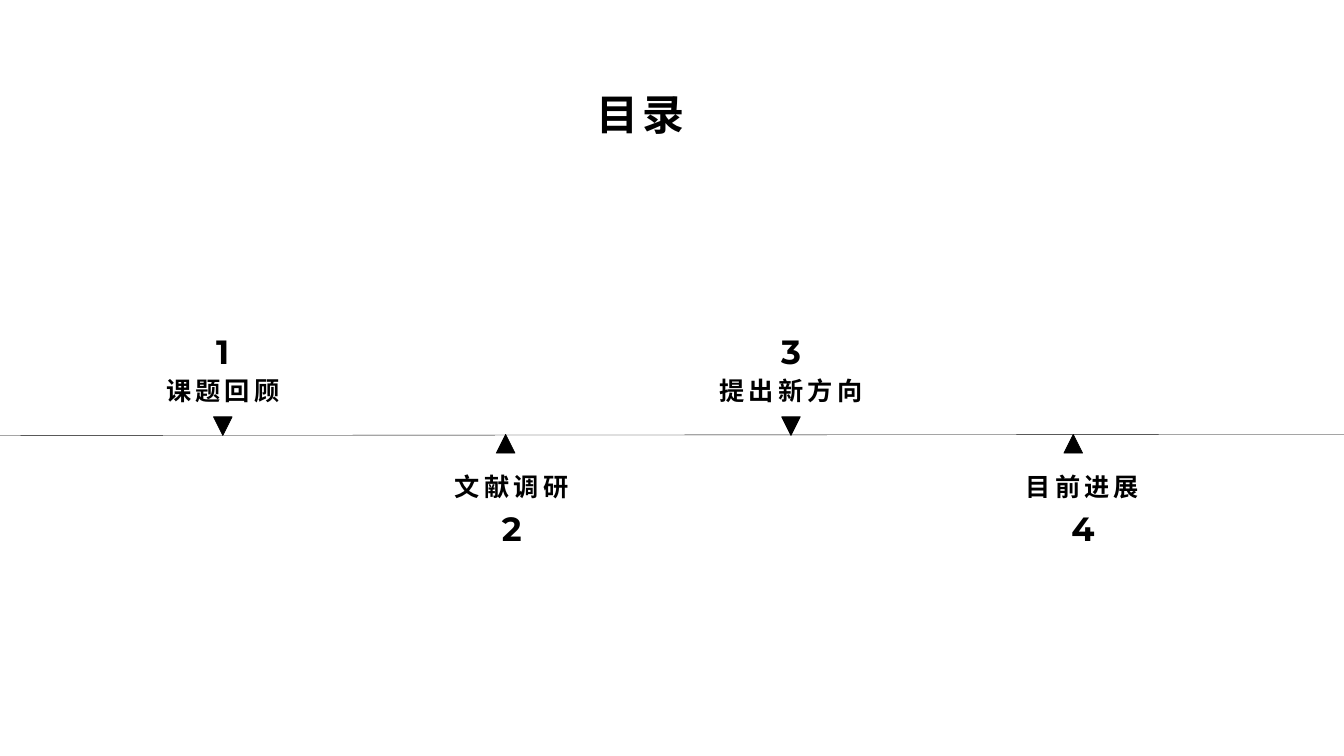
from pptx import Presentation
from pptx.dml.color import RGBColor
from pptx.enum.shapes import MSO_CONNECTOR as Link, MSO_SHAPE as Shape
from pptx.enum.text import MSO_AUTO_SIZE as Fit, PP_ALIGN as Align
from pptx.oxml.ns import qn
from pptx.util import Inches, Pt
from lxml import etree

BLACK = "000000"
WIDE, HIGH = 26.66, 15
AXIS = 8.63
MARK = 0.37
STEPS = [
    ("1", "课题回顾", 4.42, 4.42, True),
    ("2", "文献调研", 10.03, 10.15, False),
    ("3", "提出新方向", 15.69, 15.69, True),
    ("4", "目前进展", 21.29, 21.47, False),
]


def color(code):
    return RGBColor.from_string(code)


def add_text(slide, text, mid, top, width, height, size, face, wrap=False):
    box = slide.shapes.add_textbox(
        Inches(mid - width / 2), Inches(top), Inches(width), Inches(height))
    frame = box.text_frame
    frame.word_wrap = wrap
    frame.auto_size = Fit.SHAPE_TO_FIT_TEXT
    para = frame.paragraphs[0]
    para.alignment = Align.CENTER
    run = para.add_run()
    run.text = text
    font = para.font
    font.name = face
    font.size = Pt(size)
    font.bold = True
    font.color.rgb = color(BLACK)
    run._r.get_or_add_rPr().set("spc", "600")


def add_axis(slide):
    line = slide.shapes.add_connector(
        Link.STRAIGHT, 0, Inches(AXIS + 0.01), Inches(WIDE), Inches(AXIS - 0.01))
    line.line.color.rgb = color(BLACK)
    line.line.width = Pt(0.5)
    etree.SubElement(line._element.spPr, qn("a:effectLst"))


def add_mark(slide, mid, above):
    top = 8.27 if above else 8.62
    mark = slide.shapes.add_shape(
        Shape.ISOSCELES_TRIANGLE,
        Inches(mid - MARK / 2), Inches(top), Inches(MARK), Inches(MARK))
    mark.rotation = 180 if above else 0
    mark.shadow.inherit = False
    mark.fill.solid()
    mark.fill.fore_color.rgb = color(BLACK)
    mark.line.color.rgb = color(BLACK)
    mark.line.width = Pt(1)


def add_step(slide, number, label, tip, mid, above):
    add_mark(slide, tip, above)
    width = 0.2 + len(label) * 0.59
    add_text(slide, number, mid, 6.51 if above else 10.03, 0.63, 0.91, 48, "Montserrat")
    add_text(slide, label, mid, 7.39 if above else 9.31, width, 0.71, 36, "Cambria")


def main():
    deck = Presentation()
    deck.slide_width, deck.slide_height = Inches(WIDE), Inches(HIGH)
    slide = deck.slides.add_slide(deck.slide_layouts[6])
    add_axis(slide)
    add_text(slide, "目录", 12.71, 1.71, 11.58, 1.11, 60, "Cambria", wrap=True)
    for step in STEPS:
        add_step(slide, *step)
    deck.save("out.pptx")


if __name__ == "__main__":
    main()
